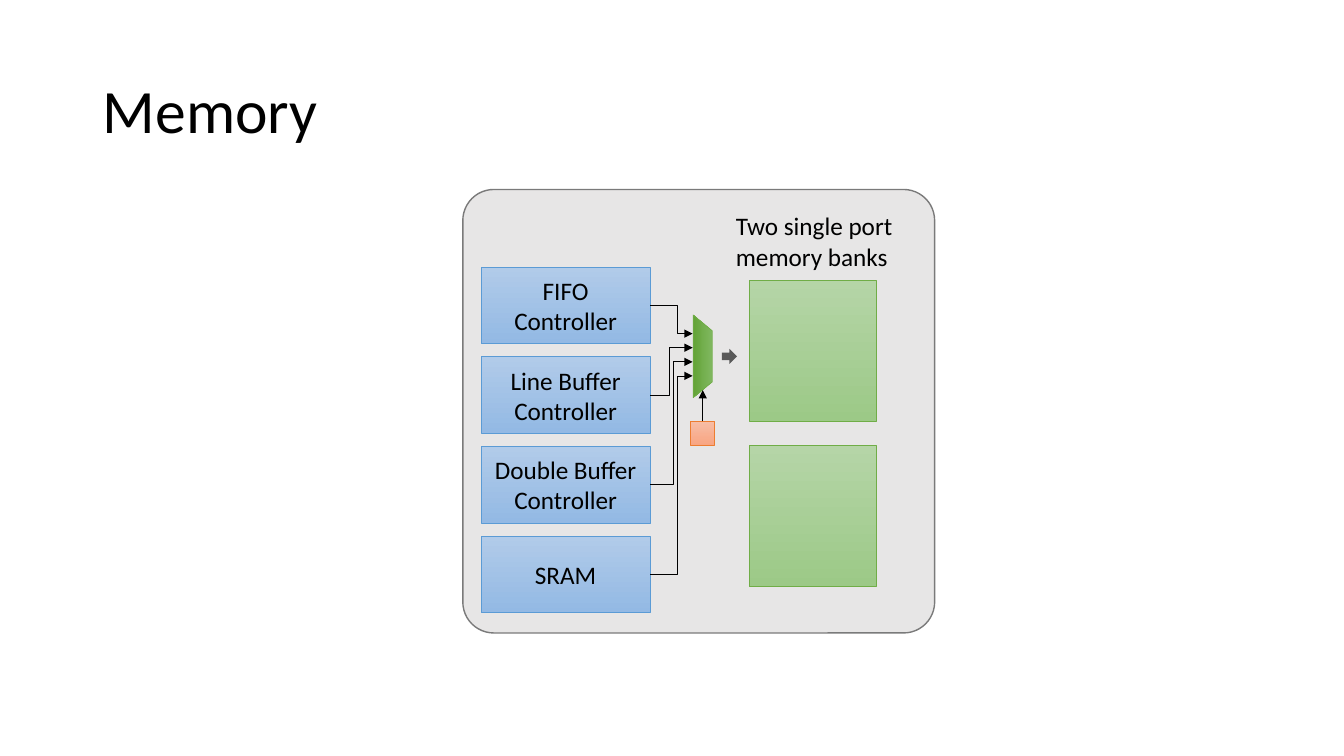
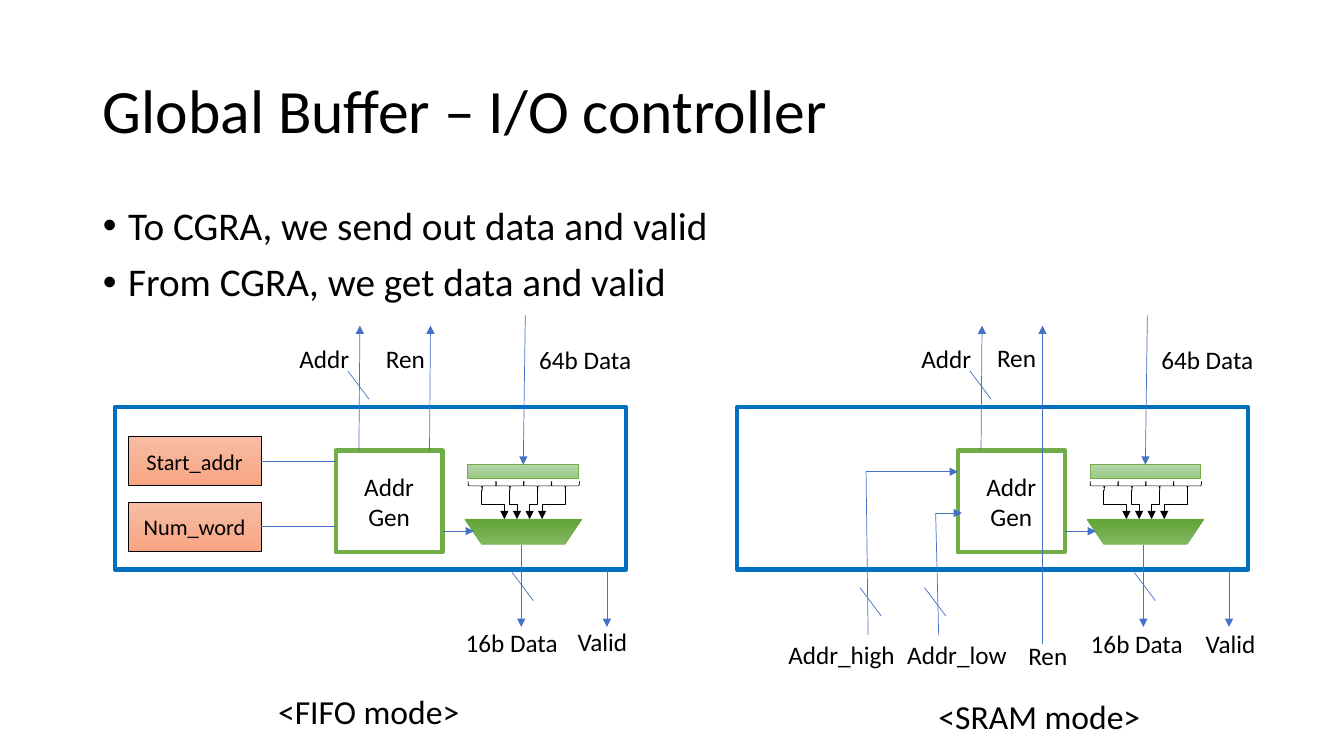
from lxml.etree import SubElement
from pptx import Presentation
from pptx.dml.color import RGBColor
from pptx.enum.shapes import MSO_CONNECTOR, MSO_SHAPE
from pptx.enum.text import MSO_ANCHOR, MSO_AUTO_SIZE, PP_ALIGN
from pptx.oxml.ns import qn
from pptx.util import Inches, Pt

FONT = "Calibri"
COLORS = {
    "black": "000000", "white": "FFFFFF", "panel": "E7E6E6", "panel line": "7A7A7A",
    "blue line": "5B9BD5", "green line": "70AD47", "orange line": "ED7D31",
    "wire": "4472C4", "frame": "0070C0", "arrow": "595959",
    "blue light": "B1CBE9", "blue dark": "93B9E4",
    "green light": "B5D5A7", "green dark": "9CC987",
    "mux light": "81B861", "mux dark": "62A336",
    "orange light": "F7BDA5", "orange dark": "F8A582",
}
BLUE = ("blue light", "blue dark")
GREEN = ("green light", "green dark")
MUX = ("mux light", "mux dark")
ORANGE = ("orange light", "orange dark")

# Memory slide: controller name and x where its wire bends
CONTROLLERS = [
    ("FIFO Controller", 6.72),
    ("Line Buffer Controller", 6.64),
    ("Double Buffer Controller", 6.68),
    ("SRAM", 6.72),
]
BANK_TOPS = [2.78, 4.42]

# I/O controller slide
BULLETS = ["To CGRA, we send out data and valid", "From CGRA, we get data and valid"]
REGISTERS = [("Start_addr", 4.33), ("Num_word", 4.98)]
MODE_OFFSET = 6.17
SHARED_LABELS = [("Addr", 2.87, 3.36, 0.7), ("64b Data", 5.25, 3.37, 1.13)]
FIFO_LABELS = [
    ("Ren", 3.73, 3.36, 0.59), ("16b Data", 4.52, 6.17, 1.13), ("Valid", 5.63, 6.16, 0.7),
]
SRAM_LABELS = [
    ("Ren", 9.79, 3.35, 0.59), ("16b Data", 10.72, 6.18, 1.13), ("Valid", 11.86, 6.18, 0.7),
    ("Addr_high", 7.72, 6.29, 1.27), ("Addr_low", 8.9, 6.29, 1.2), ("Ren", 10.1, 6.3, 0.59),
]
MODE_CAPTIONS = [("<FIFO mode>", 2.66, 6.81, 2.04), ("<SRAM mode>", 9.21, 6.85, 2.27)]
# Start of the wire, its upper corner, and the x of its arrow tip
ADDRESS_INPUTS = [((8.61, 6.3), (8.59, 4.68), 9.5), ((9.31, 6.3), (9.28, 5.09), 9.54)]
SRAM_SLASHES = [(8.53, 5.83), (9.17, 5.83)]


def rgb(name):
    return RGBColor.from_string(COLORS[name])


def write(frame, lines, size, align=PP_ALIGN.LEFT):
    for index, line in enumerate(lines):
        paragraph = frame.paragraphs[0] if index == 0 else frame.add_paragraph()
        paragraph.alignment = align
        run = paragraph.add_run()
        run.text = line
        run.font.name = FONT
        run.font.size = Pt(size)
        run.font.color.rgb = rgb("black")


def add_slide(presentation, layout_index, title):
    slide = presentation.slides.add_slide(presentation.slide_layouts[layout_index])
    place(slide.shapes.title, 0.92, 0.4, 11.5, 1.45)
    frame = slide.shapes.title.text_frame
    frame.auto_size = MSO_AUTO_SIZE.NONE
    frame.vertical_anchor = MSO_ANCHOR.MIDDLE
    write(frame, [title], 44)
    frame.paragraphs[0].line_spacing = 0.9
    return slide


def place(shape, left, top, width, height):
    shape.left, shape.top = Inches(left), Inches(top)
    shape.width, shape.height = Inches(width), Inches(height)


def add_block(slide, kind, box, fill=None, line=None, weight=0.5, lines=(), size=18,
              rotation=0, adjustment=None):
    """Add a preset shape; fill is a colour name, a (top, bottom) gradient or None."""
    shape = slide.shapes.add_shape(kind, *[Inches(value) for value in box])
    shape.shadow.inherit = False
    shape.rotation = rotation
    if adjustment is not None:
        shape.adjustments[0] = adjustment
    if fill is None:
        shape.fill.background()
    elif isinstance(fill, tuple):
        shape.fill.gradient()
        shape.fill.gradient_angle = 270
        for stop, name in zip(shape.fill.gradient_stops, fill):
            stop.color.rgb = rgb(name)
    else:
        shape.fill.solid()
        shape.fill.fore_color.rgb = rgb(fill)
    if line is None:
        shape.line.fill.background()
    else:
        shape.line.color.rgb = rgb(line)
        shape.line.width = Pt(weight)
    write(shape.text_frame, lines, size, PP_ALIGN.CENTER)
    return shape


def add_label(slide, text, left, top, width, height=0.4, size=18, wrap=False):
    box = slide.shapes.add_textbox(Inches(left), Inches(top), Inches(width), Inches(height))
    box.text_frame.word_wrap = wrap
    write(box.text_frame, [text], size)


def add_wire(slide, start, end, color="wire", arrow=False, kind=MSO_CONNECTOR.STRAIGHT):
    connector = slide.shapes.add_connector(
        kind, *[Inches(value) for value in (*start, *end)])
    connector.line.color.rgb = rgb(color)
    connector.line.width = Pt(0.5)
    properties = connector.element.spPr
    if arrow:
        SubElement(properties.find(qn("a:ln")), qn("a:tailEnd"), type="triangle")
    SubElement(properties, qn("a:effectLst"))
    return connector


def add_side_elbow(slide, start, end, bend):
    """Arrow that runs across, turns at x = bend, then runs across again."""
    connector = add_wire(slide, start, end, "black", True, MSO_CONNECTOR.ELBOW)
    guides = connector.element.spPr.find(qn("a:prstGeom")).find(qn("a:avLst"))
    share = round((bend - start[0]) / (end[0] - start[0]) * 100000)
    SubElement(guides, qn("a:gd"), name="adj1", fmla=f"val {share}")


def add_down_elbow(slide, start, end):
    """Arrow that runs down, across and down: an elbow turned by a quarter."""
    middle_x, middle_y = (start[0] + end[0]) / 2, (start[1] + end[1]) / 2
    half_run, half_shift = (end[1] - start[1]) / 2, abs(end[0] - start[0]) / 2
    connector = add_wire(
        slide, (middle_x - half_run, middle_y - half_shift),
        (middle_x + half_run, middle_y + half_shift), "black", True, MSO_CONNECTOR.ELBOW)
    transform = connector.element.spPr.find(qn("a:xfrm"))
    if end[0] > start[0]:
        transform.set("rot", "16200000")
        transform.set("flipH", "1")
    else:
        transform.set("rot", "5400000")


def add_slash(slide, left, top):
    add_wire(slide, (left, top), (left + 0.21, top + 0.28))


def build_memory(presentation):
    slide = add_slide(presentation, 5, "Memory")
    add_block(slide, MSO_SHAPE.ROUNDED_RECTANGLE, (4.59, 1.88, 4.68, 4.4),
              "panel", "panel line", 1, adjustment=0.07)
    add_label(slide, "Two single port memory banks", 7.2, 2.04, 1.95, 0.71, wrap=True)
    for top in BANK_TOPS:
        add_block(slide, MSO_SHAPE.RECTANGLE, (7.43, top, 1.26, 1.4), GREEN, "green line")

    add_block(slide, MSO_SHAPE.TRAPEZOID, (6.56, 3.44, 0.82, 0.19), MUX, "green line",
              rotation=90, adjustment=0.83)
    for index, (name, bend) in enumerate(CONTROLLERS):
        top = 2.65 + 0.89 * index
        add_block(slide, MSO_SHAPE.RECTANGLE, (4.77, top, 1.68, 0.76), BLUE, "blue line",
                  lines=[name])
        add_side_elbow(slide, (6.45, top + 0.38), (6.87, 3.31 + 0.14 * index), bend)

    select = add_block(slide, MSO_SHAPE.RECTANGLE, (6.85, 4.18, 0.24, 0.24),
                       ORANGE, "orange line")
    add_wire(slide, (6.97, 4.18), (6.97, 3.87), "black", True).begin_connect(select, 0)
    add_block(slide, MSO_SHAPE.RIGHT_ARROW, (7.16, 3.46, 0.15, 0.15), "arrow")


def add_word_mux(slide, left):
    """64-bit word bar, its four slices, and the multiplexer that picks one."""
    width = 1.1
    center = left + width / 2
    word = add_block(slide, MSO_SHAPE.RECTANGLE, (left, 4.61, width, 0.14),
                     GREEN, "green line")
    for index in range(4):
        step = index - 1.5
        slice_x = center + step * width / 4
        tap_x = center + step * 0.5 / 4
        add_block(slide, MSO_SHAPE.LEFT_BRACE, (slice_x - 0.04, 4.68, 0.09, 0.28),
                  line="black", rotation=270)
        add_down_elbow(slide, (slice_x, 4.86), (tap_x, 5.15))
    add_wire(slide, (center + 0.02, 3.13), (center, 4.61), arrow=True).end_connect(word, 0)
    add_block(slide, MSO_SHAPE.TRAPEZOID, (center - 0.58, 5.15, 1.16, 0.25), MUX,
              "green line", rotation=180, adjustment=0.67)


def add_mode(slide, offset):
    """Draw what both modes have in common, moved right by offset."""
    add_block(slide, MSO_SHAPE.RECTANGLE, (1.14 + offset, 4.04, 5.07, 1.61),
              line="frame", weight=3)
    add_block(slide, MSO_SHAPE.RECTANGLE, (3.33 + offset, 4.47, 1.06, 1.01), "white",
              "green line", 3, ["Addr", "Gen"])
    add_word_mux(slide, 4.64 + offset)
    for start, end in [((3.56, 4.47), (3.57, 3.23)), ((4.39, 5.27), (4.7, 5.27)),
                       ((5.17, 5.41), (5.17, 6.22)), ((6.02, 5.65), (6.02, 6.22))]:
        add_wire(slide, (start[0] + offset, start[1]), (end[0] + offset, end[1]), arrow=True)
    for left, top in [(3.45, 3.68), (5.08, 5.68)]:
        add_slash(slide, left + offset, top)
    for text, left, top, width in SHARED_LABELS:
        add_label(slide, text, left + offset, top, width)


def add_bullets(body):
    place(body, 0.92, 2, 11.5, 4.76)
    body.text_frame.auto_size = MSO_AUTO_SIZE.NONE
    write(body.text_frame, BULLETS, 28)
    for index, paragraph in enumerate(body.text_frame.paragraphs):
        paragraph.line_spacing = 0.9
        paragraph.space_before = Pt(10 if index else 0)
        properties = paragraph._p.get_or_add_pPr()
        properties.set("marL", str(Inches(0.25)))
        properties.set("indent", str(-Inches(0.25)))
        SubElement(properties, qn("a:buFont"), typeface="Arial")
        SubElement(properties, qn("a:buChar"), char="•")


def build_io_controller(presentation):
    slide = add_slide(presentation, 1, "Global Buffer – I/O controller")
    add_bullets(slide.placeholders[1])
    for offset in (0, MODE_OFFSET):
        add_mode(slide, offset)

    for name, top in REGISTERS:
        register = add_block(slide, MSO_SHAPE.RECTANGLE, (1.27, top, 1.32, 0.49), ORANGE,
                             "black", lines=[name], size=16)
        middle = top + 0.49 / 2
        add_wire(slide, (2.59, middle), (3.33, middle)).begin_connect(register, 3)
    add_wire(slide, (4.26, 4.47), (4.27, 3.23), arrow=True)

    add_wire(slide, (10.34, 6.39), (10.34, 3.23), arrow=True)
    for start, corner, tip in ADDRESS_INPUTS:
        add_wire(slide, start, corner)
        add_wire(slide, corner, (tip, corner[1]), arrow=True)
    for left, top in SRAM_SLASHES:
        add_slash(slide, left, top)

    for text, left, top, width in FIFO_LABELS + SRAM_LABELS:
        add_label(slide, text, left, top, width)
    for text, left, top, width in MODE_CAPTIONS:
        add_label(slide, text, left, top, width, 0.5, 24, wrap=True)


def main():
    presentation = Presentation()
    presentation.slide_width = Inches(13.33)
    presentation.slide_height = Inches(7.5)
    build_memory(presentation)
    build_io_controller(presentation)
    presentation.save("out.pptx")


if __name__ == "__main__":
    main()
